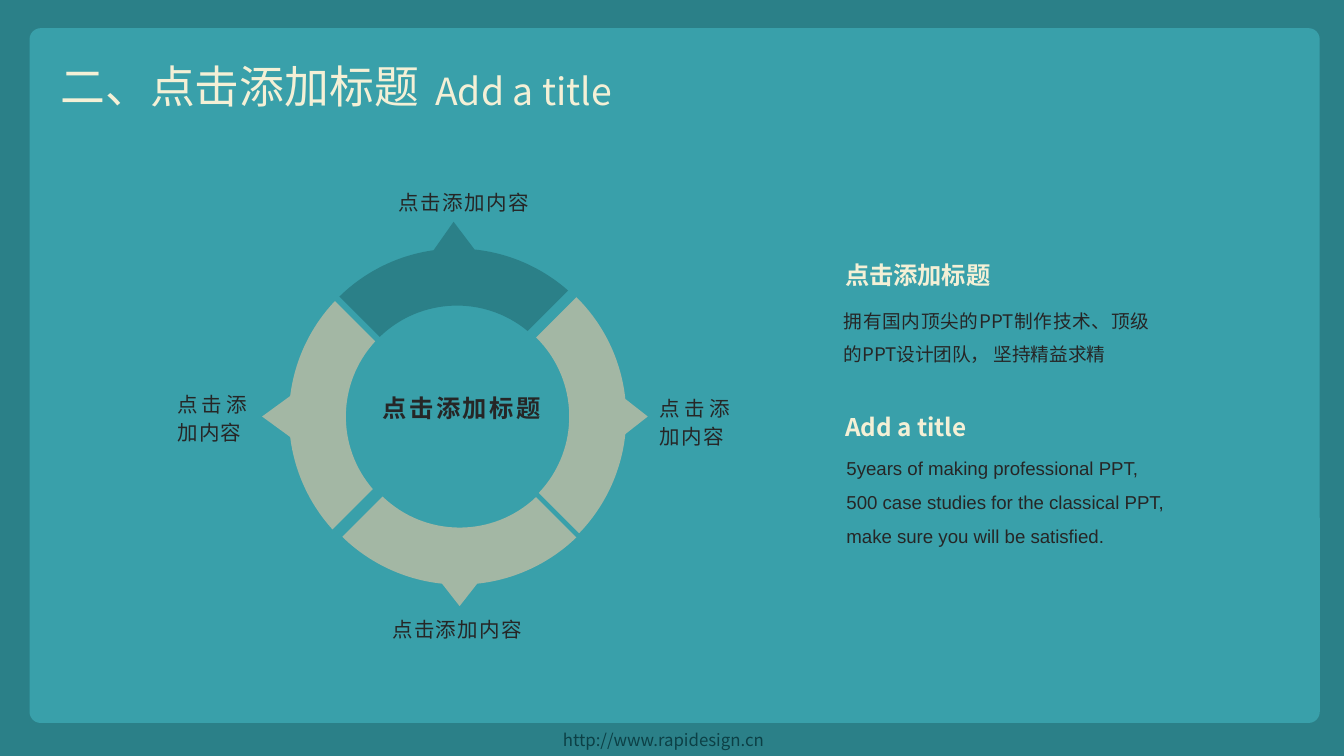
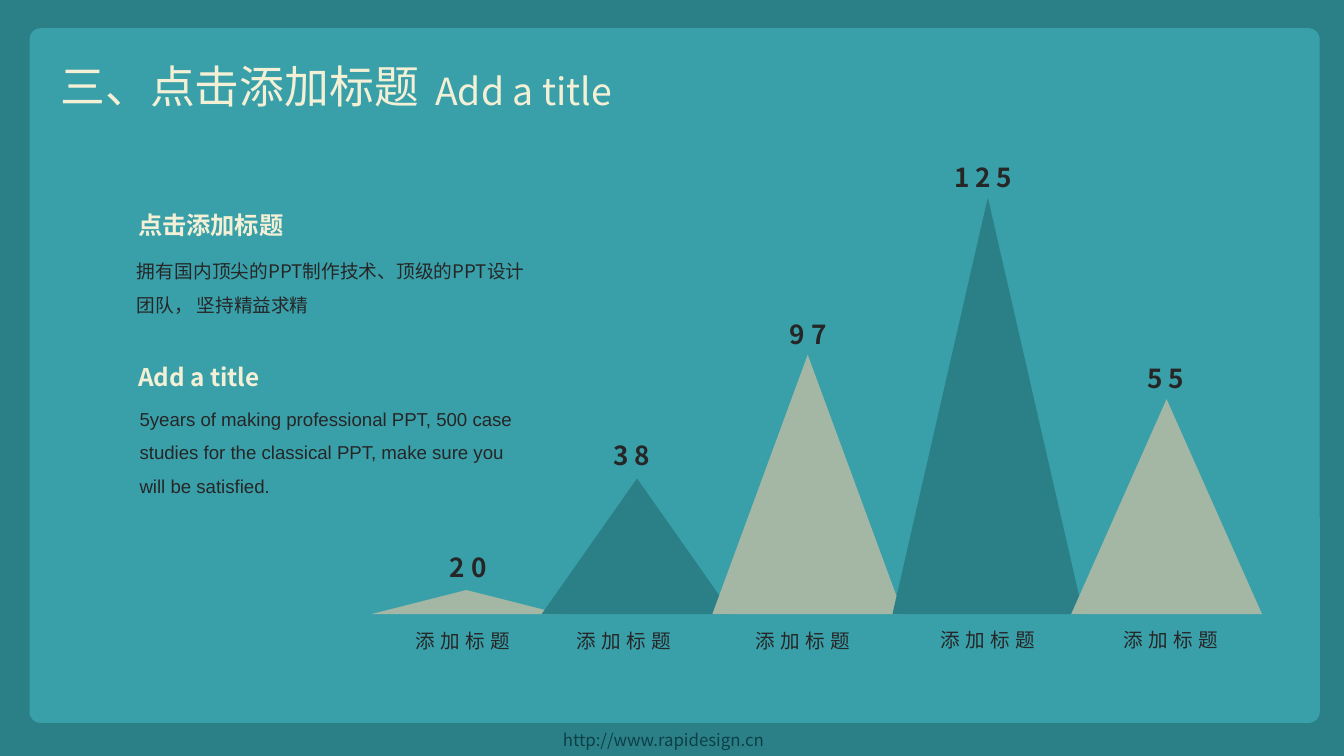
from dataclasses import dataclass
from math import atan2, cos, degrees, hypot, radians, sin, tan

from lxml.etree import SubElement
from pptx import Presentation
from pptx.dml.color import RGBColor
from pptx.enum.shapes import MSO_SHAPE
from pptx.enum.text import MSO_ANCHOR, MSO_AUTO_SIZE, PP_ALIGN
from pptx.oxml.ns import qn
from pptx.util import Inches, Pt


@dataclass(frozen=True)
class Theme:
    band: str = "2B8088"
    panel: str = "39A0AA"
    accent: str = "A3B7A4"
    cream: str = "F4F0D6"
    ink: str = "262626"
    footer: str = "0C4046"
    cjk: str = "Noto Sans CJK SC"
    latin: str = "Arial"
    title_size: float = 24
    subtitle_size: float = 20
    heading_size: float = 13
    number_size: float = 14
    label_size: float = 11
    caption_size: float = 10.5
    body_size: float = 10
    footer_size: float = 9


THEME = Theme()
WIDTH, HEIGHT = 10, 5.625

SUBTITLE = "Add a title"
FOOTER = "http://www.rapidesign.cn"
RING_TITLE = "二、点击添加标题"
PEAKS_TITLE = "三、点击添加标题"

# heading, body, body font, body alignment
INTRO = [
    ("点击添加标题", "拥有国内顶尖的PPT制作技术、顶级的PPT设计团队， 坚持精益求精",
     THEME.cjk, PP_ALIGN.JUSTIFY),
    ("Add a title", "5years of making professional PPT, 500 case studies for the "
     "classical PPT, make sure you will be satisfied.", THEME.latin, PP_ALIGN.LEFT),
]
INTRO_STEP = 1.13
BODY_SHIFT, BODY_DROP = (-0.01, 0.01), (0.39, 0.36)
HEADING_WIDTHS, BODY_HEIGHTS = (1.36, 1.18), (0.58, 0.86)

RING_MIDDLE, RING_RADIUS, RING_DEPTH = 3.10, 1.25, 0.3
RING_HEADING = "点击添加标题"
RING_LABEL = "点击添加内容"
# colour, centre, start and end angle, pointer angle, its half width, its reach, label box
SEGMENTS = [
    (THEME.band, 3.40, 225.6, 311.4, 269, 7, 1.45, (2.87, 1.34, 1.26, 0.31)),
    (THEME.accent, 3.41, -45.3, 44, 0, 6, 1.41, (4.81, 2.87, 0.73, 0.52)),
    (THEME.accent, 3.40, 137.8, 223.4, 180, 7, 1.45, (1.22, 2.84, 0.73, 0.52)),
    (THEME.accent, 3.42, 46, 134.3, 90, 6, 1.41, (2.82, 4.52, 1.24, 0.31)),
]

PEAK_CAPTION = "添加标题"
PEAK_BASE, PEAK_WIDTH = 4.57, 1.42
# number, left and top of the peak, of the number, and of the caption
PEAKS = [
    ("20", (2.76, 4.39), (3.25, 4.05), (2.99, 4.63)),
    ("38", (4.03, 3.56), (4.47, 3.22), (4.19, 4.63)),
    ("97", (5.30, 2.64), (5.78, 2.32), (5.52, 4.63)),
    ("125", (6.64, 1.47), (7.00, 1.15), (6.90, 4.62)),
    ("55", (7.97, 2.97), (8.44, 2.65), (8.26, 4.62)),
]


def rgb(colour):
    return RGBColor.from_string(colour)


def paint(shape, colour):
    shape.fill.solid()
    shape.fill.fore_color.rgb = rgb(colour)
    shape.line.fill.background()
    shape.shadow.inherit = False
    return shape


def add_block(slide, preset, box, colour):
    return paint(slide.shapes.add_shape(preset, *map(Inches, box)), colour)


def write(shape, text, size, colour, font=THEME.cjk, bold=False, align=PP_ALIGN.JUSTIFY,
          leading=None, tracking=0, wrap=True):
    frame = shape.text_frame
    frame.word_wrap = wrap
    frame.auto_size = MSO_AUTO_SIZE.SHAPE_TO_FIT_TEXT
    frame.vertical_anchor = MSO_ANCHOR.TOP
    paragraph = frame.paragraphs[0]
    paragraph.alignment = align
    if leading:
        paragraph.line_spacing = leading
    run = paragraph.add_run()
    run.text = text
    run.font.size = Pt(size)
    run.font.bold = bold
    run.font.color.rgb = rgb(colour)
    run.font.name = font
    properties = run.font._element
    SubElement(properties, qn("a:ea")).set("typeface", font)
    if tracking:
        properties.set("spc", str(round(tracking * 100)))


def add_text(slide, box, text, size, colour, **style):
    write(slide.shapes.add_textbox(*map(Inches, box)), text, size, colour, **style)


def add_slide(deck, heading):
    """Add a slide with the band, panel, title, subtitle and footer."""
    slide = deck.slides.add_slide(deck.slide_layouts[5])
    title = slide.shapes.title
    band = add_block(slide, MSO_SHAPE.RECTANGLE, (0, 0, WIDTH, HEIGHT), THEME.band)
    panel = add_block(slide, MSO_SHAPE.ROUNDED_RECTANGLE, (0.22, 0.21, 9.6, 5.17), THEME.panel)
    panel.adjustments[0] = 0.016
    for backdrop in (band, panel):
        title.element.addprevious(backdrop.element)
    title.left, title.top, title.width, title.height = map(Inches, (0.35, 0.39, 4.54, 0.5))
    write(title, heading, THEME.title_size, THEME.cream)
    add_text(slide, (3.14, 0.46, 4.65, 0.44), SUBTITLE, THEME.subtitle_size, THEME.cream)
    add_text(slide, (4.09, 5.38, 1.83, 0.25), FOOTER, THEME.footer_size, THEME.footer)
    return slide


def add_intro(slide, left, top, body_widths):
    for i, (heading, body, font, align) in enumerate(INTRO):
        heading_top = top + i * INTRO_STEP
        body_box = (left + BODY_SHIFT[i], heading_top + BODY_DROP[i],
                    body_widths[i], BODY_HEIGHTS[i])
        add_text(slide, body_box, body, THEME.body_size, THEME.ink,
                 font=font, align=align, leading=1.5)
        add_text(slide, (left, heading_top, HEADING_WIDTHS[i], 0.39), heading,
                 THEME.heading_size, THEME.cream, bold=True, leading=1.5)


def polar(angle, radius):
    return radius * cos(radians(angle)), radius * sin(radians(angle))


def arc(start, end, radius):
    """Return the two control points and the end point of a Bezier arc."""
    (x0, y0), (x1, y1) = polar(start, radius), polar(end, radius)
    pull = 4 / 3 * tan(radians(end - start) / 4)
    return [(x0 - pull * y0, y0 + pull * x0), (x1 + pull * y1, y1 - pull * x1), (x1, y1)]


def inner_corner(angle):
    """Step diagonally inwards from the outer rim; return angle and radius."""
    x, y = polar(angle, RING_RADIUS)
    x -= RING_DEPTH if x > 0 else -RING_DEPTH
    y -= RING_DEPTH if y > 0 else -RING_DEPTH
    return degrees(atan2(y, x)), hypot(x, y)


def segment_steps(start, end, pointer, half, reach):
    """List the steps of an outline: one point for a line, three for a curve."""
    inner_start, radius = inner_corner(start)
    inner_end = inner_start + (inner_corner(end)[0] - inner_start) % 360
    return [
        [polar(start, RING_RADIUS)],
        arc(start, pointer - half, RING_RADIUS),
        [polar(pointer, reach)],
        [polar(pointer + half, RING_RADIUS)],
        arc(pointer + half, end, RING_RADIUS),
        [polar(inner_end, radius)],
        arc(inner_end, inner_start, radius),
    ]


def add_outline(slide, centre, steps):
    placed = [[(Inches(centre[0] + x), Inches(centre[1] + y)) for x, y in step]
              for step in steps]
    first, *rest = [step[-1] for step in placed]
    builder = slide.shapes.build_freeform(*first)
    builder.add_line_segments(rest)
    shape = builder.convert_to_shape()
    lines = list(shape.element.iter(qn("a:lnTo")))
    for line, step in zip(lines, placed[1:]):
        if len(step) == 3:
            curve = SubElement(line.getparent(), qn("a:cubicBezTo"))
            for x, y in step:
                point = SubElement(curve, qn("a:pt"))
                point.set("x", str(x - shape.left))
                point.set("y", str(y - shape.top))
            line.getparent().replace(line, curve)
    return shape


def add_ring(slide):
    add_text(slide, (2.57, 2.88, 1.73, 0.32), RING_HEADING, THEME.heading_size, THEME.ink,
             bold=True, align=PP_ALIGN.CENTER, tracking=1.3)
    for colour, centre, start, end, pointer, half, reach, label_box in SEGMENTS:
        steps = segment_steps(start, end, pointer, half, reach)
        paint(add_outline(slide, (centre, RING_MIDDLE), steps), colour)
        add_text(slide, label_box, RING_LABEL, THEME.label_size, THEME.ink,
                 leading=Pt(15), tracking=0.7)


def add_peaks(slide):
    spaced = dict(align=PP_ALIGN.LEFT, tracking=3, wrap=False)
    for i, (number, (left, top), number_at, caption_at) in enumerate(PEAKS):
        add_block(slide, MSO_SHAPE.ISOSCELES_TRIANGLE, (left, top, PEAK_WIDTH, PEAK_BASE - top),
                  THEME.band if i % 2 else THEME.accent)
        number_width = 0.21 + 0.16 * len(number)
        add_text(slide, (*number_at, number_width, 0.34), number,
                 THEME.number_size, THEME.ink, bold=True, **spaced)
        add_text(slide, (*caption_at, 0.98, 0.29), PEAK_CAPTION,
                 THEME.caption_size, THEME.ink, **spaced)


def main():
    deck = Presentation()
    deck.slide_width, deck.slide_height = Inches(WIDTH), Inches(HEIGHT)
    ring = add_slide(deck, RING_TITLE)
    add_ring(ring)
    add_intro(ring, 6.19, 1.78, (2.47, 2.6))
    peaks = add_slide(deck, PEAKS_TITLE)
    add_peaks(peaks)
    add_intro(peaks, 0.93, 1.41, (3.08, 3.09))
    deck.save("out.pptx")


if __name__ == "__main__":
    main()
